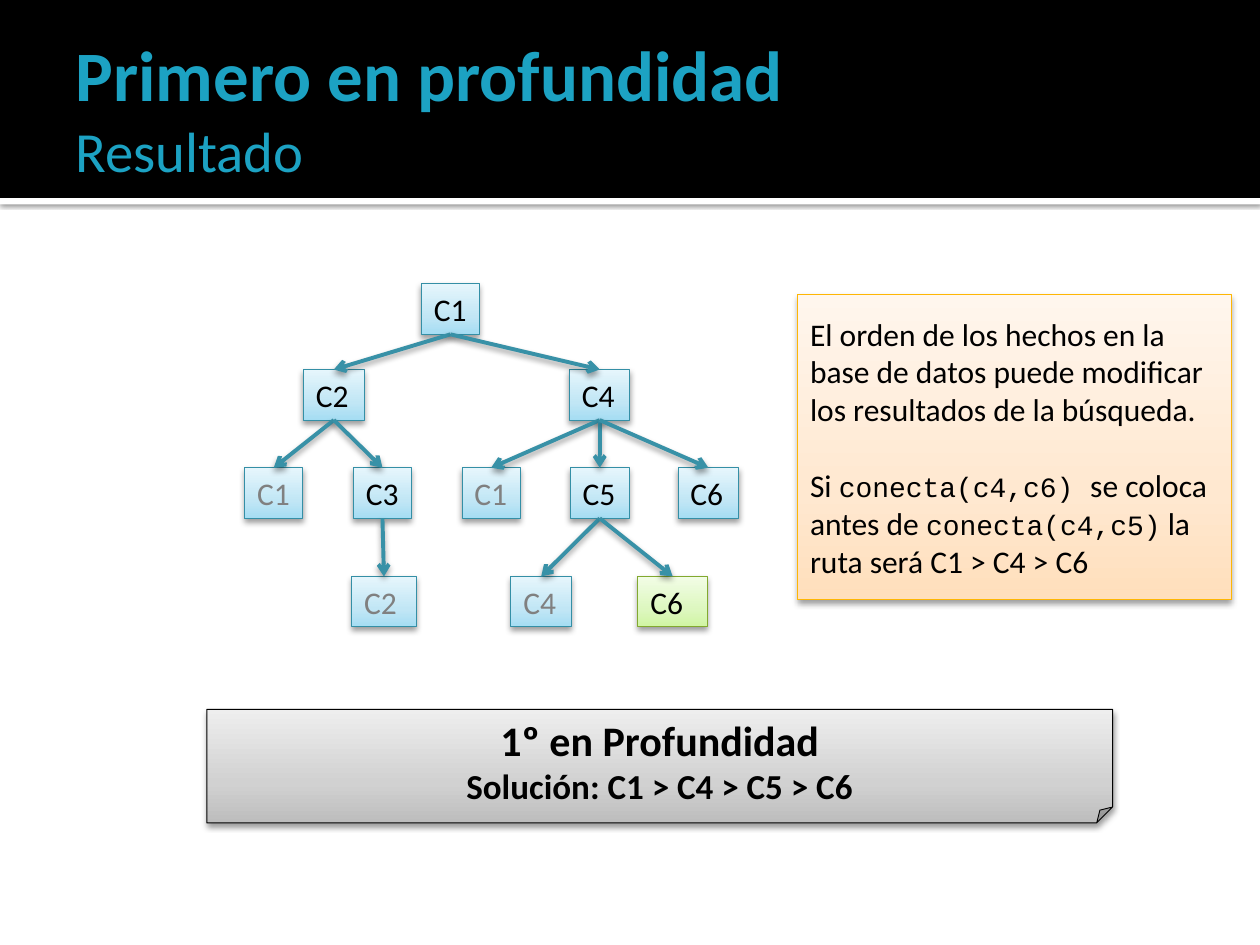
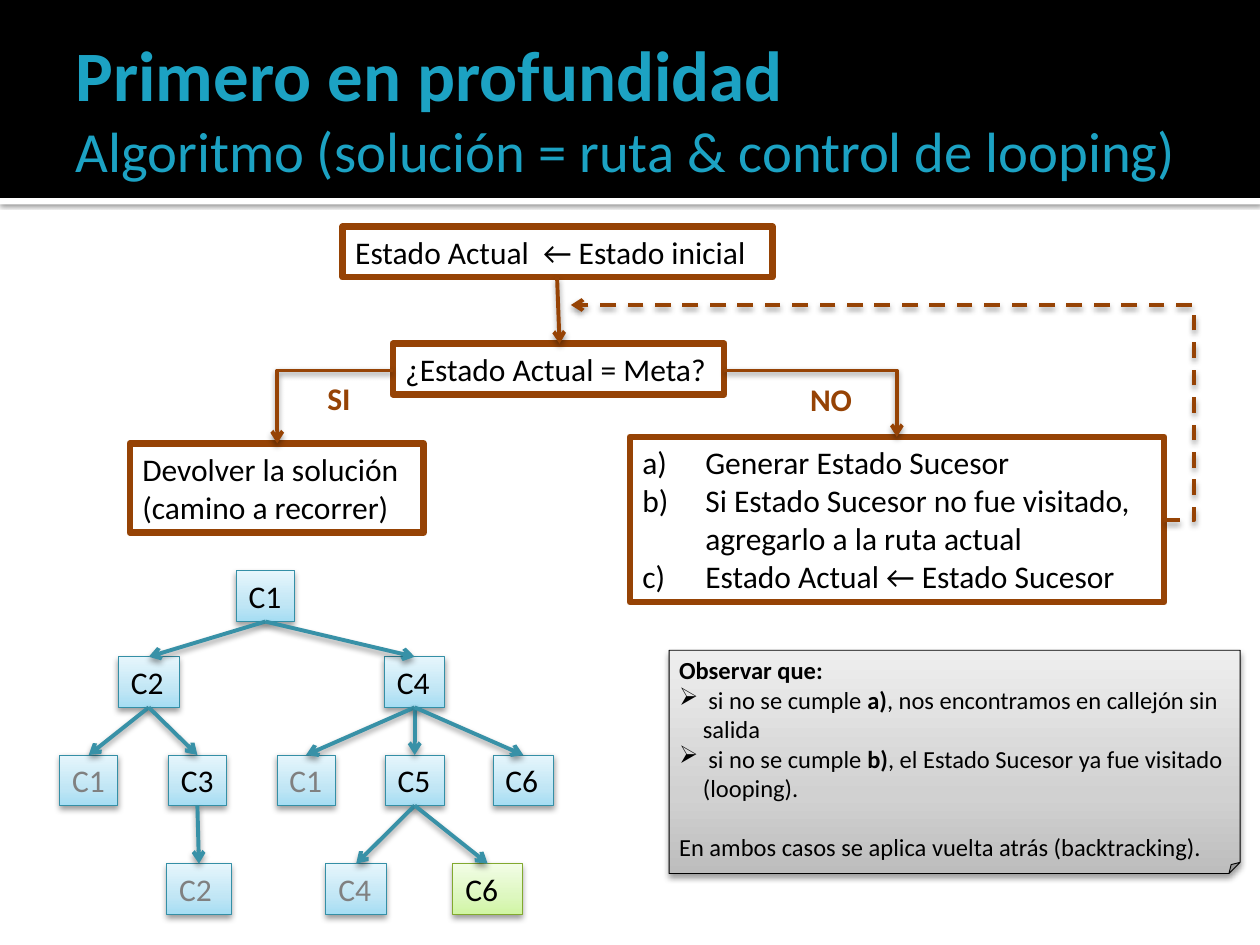
from dataclasses import dataclass

from lxml.etree import SubElement
from pptx import Presentation
from pptx.dml.color import RGBColor
from pptx.enum.dml import MSO_LINE
from pptx.enum.shapes import MSO_CONNECTOR, MSO_SHAPE
from pptx.enum.text import MSO_ANCHOR, MSO_AUTO_SIZE, PP_ALIGN
from pptx.oxml.ns import qn
from pptx.util import Cm, Pt


@dataclass(frozen=True)
class Theme:
    font: str = "Calibri"
    code_font: str = "Courier New"
    black: str = "000000"
    white: str = "FFFFFF"
    muted: str = "808080"
    title: str = "1CA2C3"
    flow: str = "964305"
    edge: str = "3891A7"
    blue: tuple = ("A5DDF3", "C1E6F5", "E6F6FC")
    blue_line: str = "348FA6"
    green: tuple = ("D0F5A3", "DDF7BF", "F2FDE6")
    green_line: str = "82A92F"
    orange: tuple = ("FFDFBC", "FFE8D0", "FFF6ED")
    orange_line: str = "FEB604"
    gray: tuple = ("BDBDBD", "D1D1D1", "EEEEEE")
    title_size: float = 40.5
    subtitle_size: float = 32.4
    heading_size: float = 24
    result_size: float = 20
    body_size: float = 18
    code_size: float = 16
    small_size: float = 14


THEME = Theme()
NODE_HEIGHT = 1.02
LEVEL_TOPS = (0, 1.73, 3.71, 5.9)
LEAF_START, LEAF_STEP = -3.56, 2.19

TREE_NODES = {
    "root": ("C1", 0, 0, 1.17),
    "left": ("C2", -2.35, 1, 1.22),
    "right": ("C4", 3.01, 1, 1.22),
    "left loop": ("C1", LEAF_START, 2, 1.17),
    "left next": ("C3", LEAF_START + LEAF_STEP, 2, 1.17),
    "right loop": ("C1", LEAF_START + 2 * LEAF_STEP, 2, 1.17),
    "right next": ("C5", LEAF_START + 3 * LEAF_STEP, 2, 1.19),
    "right last": ("C6", LEAF_START + 4 * LEAF_STEP, 2, 1.22),
    "left end loop": ("C2", -1.34, 3, 1.3),
    "right end loop": ("C4", 1.83, 3, 1.22),
    "goal": ("C6", 4.48, 3, 1.4),
}
TREE_EDGES = {
    "root": ("left", "right"),
    "left": ("left loop", "left next"),
    "right": ("right loop", "right next", "right last"),
    "left next": ("left end loop",),
    "right next": ("right end loop", "goal"),
}


def write(paragraph, text, font=THEME.font, size=THEME.body_size, color=THEME.black, bold=False):
    for index, line in enumerate(text.split("\n")):
        if index:
            paragraph.add_line_break()
        run = paragraph.add_run()
        run.text = line
        run.font.name = font
        run.font.size = Pt(size)
        run.font.bold = bold
        run.font.color.rgb = RGBColor.from_string(color)


class Deck:
    def __init__(self, theme):
        self.theme = theme
        self.presentation = Presentation()
        self.presentation.slide_width = Cm(25.4)
        self.presentation.slide_height = Cm(19.05)
        self.layout = self.presentation.slide_layouts[5]
        self.slide = None

    def add_slide(self, subtitle):
        first = self.slide is None
        self.slide = self.presentation.slides.add_slide(self.layout)
        if first:
            self.add_bands()
        title = self.slide.shapes.title
        title.left, title.top, title.width, title.height = map(Cm, (1.27, 0.43, 22.86, 3.48))
        frame = self.prepare(title, (0.25, 0.13, 0.13, 0.13), MSO_ANCHOR.MIDDLE)
        paragraph = self.paragraph(frame)
        write(paragraph, "Primero en profundidad", size=self.theme.title_size,
              color=self.theme.title, bold=True)
        paragraph.add_line_break()
        write(paragraph, subtitle, size=self.theme.subtitle_size, color=self.theme.title)

    def add_bands(self):
        rule = self.shape((0, 3.99, 25.4, 0.13), self.theme.white)
        self.shadow(rule, 60, 2.5, 0.8)
        band = self.shape((0, 0, 25.4, 3.99), self.theme.black)
        for position, shape in enumerate((rule, band), start=2):
            self.layout.shapes.element.insert(position, shape.element)

    def shadow(self, shape, opacity=38, blur=3.5, distance=2):
        properties = shape.element.spPr
        effects = properties.find(qn("a:effectLst"))
        if effects is None:
            effects = SubElement(properties, qn("a:effectLst"))
        outer = SubElement(effects, qn("a:outerShdw"), blurRad=str(Pt(blur)),
                           dist=str(Pt(distance)), dir="5400000", rotWithShape="0")
        color = SubElement(outer, qn("a:srgbClr"), val=self.theme.black)
        SubElement(color, qn("a:alpha"), val=str(opacity * 1000))

    def shape(self, box, fill, line=None, line_width=0.5, kind=MSO_SHAPE.RECTANGLE):
        shape = self.slide.shapes.add_shape(kind, *map(Cm, box))
        shape.shadow.inherit = False
        if isinstance(fill, tuple):
            self.gradient(shape, fill)
            self.shadow(shape)
        else:
            shape.fill.solid()
            shape.fill.fore_color.rgb = RGBColor.from_string(fill)
        if line:
            shape.line.color.rgb = RGBColor.from_string(line)
            shape.line.width = Pt(line_width)
        else:
            shape.line.fill.background()
        return shape

    def gradient(self, shape, colors):
        shape.fill.gradient()
        shape.fill.gradient_angle = 90
        stops = shape.element.spPr.find(f"{qn('a:gradFill')}/{qn('a:gsLst')}")
        stops.clear()
        for place, color in zip((0, 35, 100), colors):
            stop = SubElement(stops, qn("a:gs"), pos=str(place * 1000))
            SubElement(stop, qn("a:srgbClr"), val=color)

    def adjust(self, shape, name, ratio):
        geometry = shape.element.spPr.find(qn("a:prstGeom"))
        guides = geometry.find(qn("a:avLst"))
        if guides is None:
            guides = SubElement(geometry, qn("a:avLst"))
        SubElement(guides, qn("a:gd"), name=name, fmla=f"val {round(ratio * 100000)}")

    def prepare(self, shape, insets=(0.25, 0.13, 0, 0.13), anchor=MSO_ANCHOR.TOP):
        frame = shape.text_frame
        frame.word_wrap = True
        frame.auto_size = MSO_AUTO_SIZE.NONE
        frame.vertical_anchor = anchor
        (frame.margin_left, frame.margin_top,
         frame.margin_right, frame.margin_bottom) = map(Cm, insets)
        return frame

    def paragraph(self, frame, text="", align=PP_ALIGN.LEFT, space_before=0, **style):
        paragraph = frame.paragraphs[0]
        if paragraph.runs:
            paragraph = frame.add_paragraph()
        paragraph.alignment = align
        if space_before:
            paragraph.space_before = Pt(space_before)
        if text:
            write(paragraph, text, **style)
        return paragraph

    def bullet(self, paragraph, indent, tag, **attributes):
        properties = paragraph._p.get_or_add_pPr()
        properties.set("marL", str(Cm(indent)))
        properties.set("indent", str(-Cm(indent)))
        SubElement(properties, qn(tag), **attributes)

    def label(self, box, text):
        frame = self.prepare(self.slide.shapes.add_textbox(*map(Cm, box)))
        self.paragraph(frame, text, color=self.theme.flow, bold=True)

    def flow_box(self, box, *lines):
        frame = self.prepare(self.shape(box, self.theme.white, self.theme.flow, 3.78))
        return [self.paragraph(frame, line) for line in lines]

    def folded_note(self, box, fold):
        shape = self.shape(box, self.theme.gray, self.theme.black, kind=MSO_SHAPE.FOLDED_CORNER)
        self.adjust(shape, "adj", fold)
        return self.prepare(shape, (0.2, 0.1, 0.2, 0))

    def arrow(self, start, end, color, preset="line", bend=None, dashed=False):
        kind = MSO_CONNECTOR.STRAIGHT if preset == "line" else MSO_CONNECTOR.ELBOW
        connector = self.slide.shapes.add_connector(kind, *map(Cm, (*start, *end)))
        connector.line.color.rgb = RGBColor.from_string(color)
        connector.line.width = Pt(2.25)
        if dashed:
            connector.line.dash_style = MSO_LINE.DASH
        properties = connector.element.spPr
        properties.find(qn("a:prstGeom")).set("prst", preset)
        if bend is not None:
            self.adjust(connector, "adj1", bend)
        SubElement(properties.find(qn("a:ln")), qn("a:tailEnd"), type="arrow")
        self.shadow(connector)

    def search_tree(self, root_center, root_top):
        theme = self.theme
        anchors = {}
        for name, (city, offset, level, width) in TREE_NODES.items():
            center, top = root_center + offset, root_top + LEVEL_TOPS[level]
            anchors[name] = center, top
            fill, line = ((theme.green, theme.green_line) if name == "goal"
                          else (theme.blue, theme.blue_line))
            node = self.shape((center - width / 2, top, width, NODE_HEIGHT), fill, line)
            color = theme.muted if name.endswith("loop") else theme.black
            self.paragraph(self.prepare(node), city, color=color)
        for parent, children in TREE_EDGES.items():
            center, top = anchors[parent]
            for child in children:
                self.arrow((center, top + NODE_HEIGHT), anchors[child], theme.edge)


def build_result(deck):
    theme = deck.theme
    deck.add_slide("Resultado")
    frame = deck.folded_note((4.17, 14.3, 18.26, 2.29), 0.14)
    deck.paragraph(frame, "1º en Profundidad", PP_ALIGN.CENTER,
                   size=theme.heading_size, bold=True)
    deck.paragraph(frame, "Solución: C1 > C4 > C5 > C6", PP_ALIGN.CENTER,
                   size=theme.result_size, bold=True)
    deck.search_tree(9.08, 5.72)
    note = deck.shape((16.08, 5.94, 8.74, 6.15), theme.orange, theme.orange_line)
    frame = deck.prepare(note, anchor=MSO_ANCHOR.MIDDLE)
    deck.paragraph(frame, "El orden de los hechos en la base de datos puede modificar "
                          "los resultados de la búsqueda.")
    paragraph = deck.paragraph(frame, "Si ", space_before=22)
    code = {"font": theme.code_font, "size": theme.code_size}
    write(paragraph, "conecta(c4,c6) ", **code)
    write(paragraph, "se coloca antes de ")
    write(paragraph, "conecta(c4,c5)", **code)
    write(paragraph, " la ruta será C1 > C4 > C6")


def build_algorithm(deck):
    theme = deck.theme
    deck.add_slide("Algoritmo (solución = ruta & control de looping)")
    deck.flow_box((6.91, 4.57, 8.66, 1.02), "Estado Actual  ← Estado inicial")
    deck.flow_box((7.92, 6.93, 6.68, 1.02), "¿Estado Actual = Meta?")
    deck.flow_box((2.62, 8.94, 5.92, 1.8), "Devolver la solución", "(camino a recorrer)")
    steps = deck.flow_box((12.7, 8.81, 10.77, 3.33),
                          "Generar Estado Sucesor",
                          "Si Estado Sucesor no fue visitado, \nagregarlo a la ruta actual",
                          "Estado Actual ← Estado Sucesor")
    for step in steps:
        deck.bullet(step, 1.27, "a:buAutoNum", type="alphaLcParenR")
    deck.arrow((11.23, 5.59), (11.28, 6.93), theme.flow)
    deck.arrow((14.6, 7.47), (18.08, 8.81), theme.flow, "bentConnector2")
    deck.arrow((7.92, 7.47), (5.59, 8.94), theme.flow, "bentConnector2")
    deck.arrow((23.47, 10.49), (11.51, 6.15), theme.flow, "bentConnector3",
               bend=-0.05, dashed=True)
    deck.label((6.35, 7.52, 1.07, 1.02), "SI")
    deck.label((16.08, 7.54, 1.45, 1.02), "NO")

    frame = deck.folded_note((13.49, 13.11, 11.51, 4.5), 0.05)
    small = {"size": theme.small_size}
    deck.paragraph(frame, "Observar que:", bold=True, **small)
    for step, outcome in (("a)", ", nos encontramos en callejón sin salida"),
                          ("b)", ", el Estado Sucesor ya fue visitado (looping).")):
        paragraph = deck.paragraph(frame, " si no se cumple ", **small)
        write(paragraph, step, bold=True, **small)
        write(paragraph, outcome, **small)
        deck.bullet(paragraph, 0.48, "a:buChar", char="➢")
    deck.paragraph(frame, "En ambos casos se aplica vuelta atrás (backtracking).",
                   space_before=17, **small)
    deck.search_tree(5.35, 11.51)


def main():
    deck = Deck(THEME)
    build_result(deck)
    build_algorithm(deck)
    deck.presentation.save("out.pptx")


if __name__ == "__main__":
    main()
